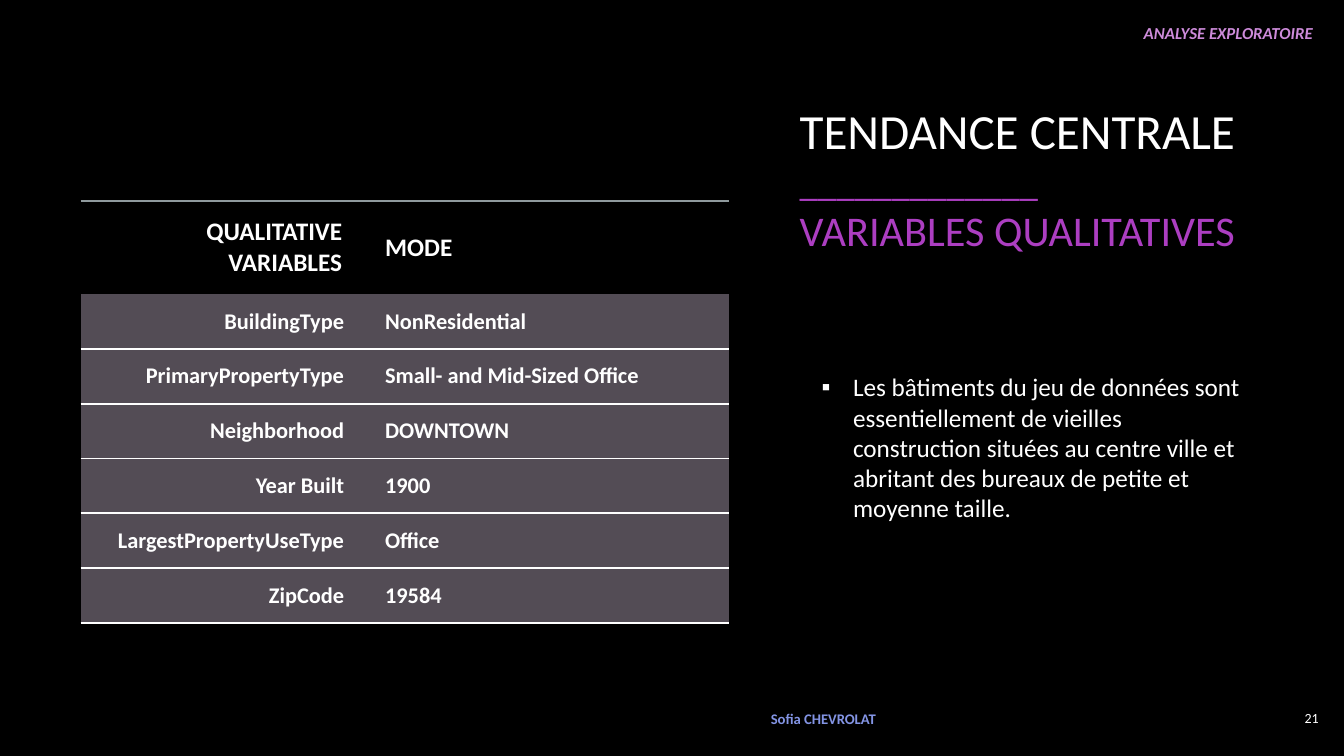
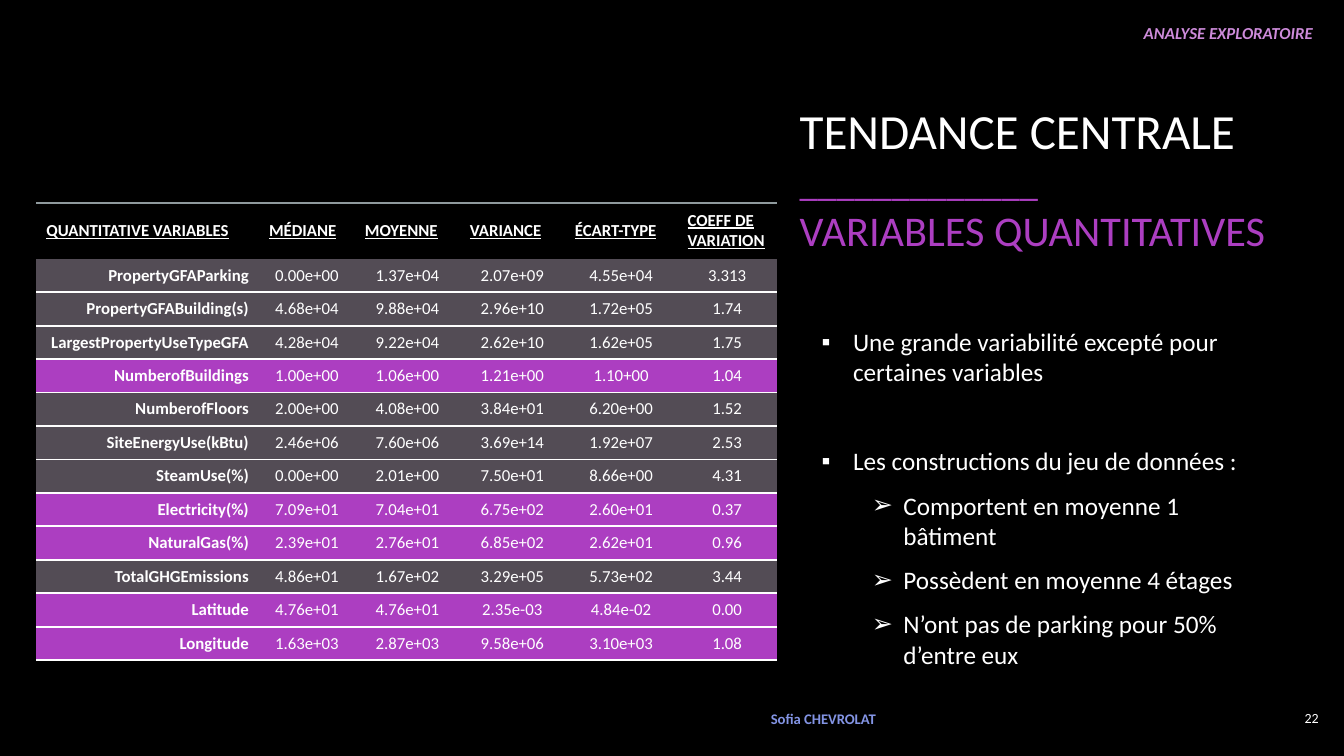
import pptx
import pptx.util
import pptx.dml.color
import pptx.enum.text
import pptx.oxml
import pptx.oxml.ns
from dataclasses import dataclass
from lxml import etree

Pt = pptx.util.Pt
ALIGN = pptx.enum.text.PP_ALIGN
MIDDLE = pptx.enum.text.MSO_ANCHOR.MIDDLE
qn = pptx.oxml.ns.qn


@dataclass(frozen=True)
class Theme:
    face: str = "Calibri"
    back: str = "000000"
    white: str = "FFFFFF"
    violet: str = "AC3EC1"
    lilac: str = "CD8BDA"
    blue: str = "8394E4"
    row: str = "534C55"
    rule: str = "8F9A9D"
    head: float = 35.1
    dash: float = 26.3
    sub: float = 30.2
    body: float = 18
    tag: float = 12
    foot: float = 10.5
    page: float = 10
    hang: float = 22.5
    gap: float = 10


T = Theme()
NO_GRID = "{2D5ABB26-0587-4C30-8999-92F81FD0307C}"
LIMIT = 1.1  # coefficients of variation below this are highlighted

# Content
TAG, AUTHOR, HEAD = "ANALYSE EXPLORATOIRE", "Sofia CHEVROLAT", "TENDANCE CENTRALE"

MODES = [
    ("QUALITATIVE VARIABLES", "MODE"),
    ("BuildingType", "NonResidential"),
    ("PrimaryPropertyType", "Small- and Mid-Sized Office"),
    ("Neighborhood", "DOWNTOWN"),
    ("Year Built", "1900"),
    ("LargestPropertyUseType", "Office"),
    ("ZipCode", "19584"),
]

STATS = [
    ("QUANTITATIVE VARIABLES", "MÉDIANE", "MOYENNE", "VARIANCE", "ÉCART-TYPE",
     "COEFF DE VARIATION"),
    ("PropertyGFAParking", "0.00e+00", "1.37e+04", "2.07e+09", "4.55e+04", "3.313"),
    ("PropertyGFABuilding(s)", "4.68e+04", "9.88e+04", "2.96e+10", "1.72e+05", "1.74"),
    ("LargestPropertyUseTypeGFA", "4.28e+04", "9.22e+04", "2.62e+10", "1.62e+05", "1.75"),
    ("NumberofBuildings", "1.00e+00", "1.06e+00", "1.21e+00", "1.10+00", "1.04"),
    ("NumberofFloors", "2.00e+00", "4.08e+00", "3.84e+01", "6.20e+00", "1.52"),
    ("SiteEnergyUse(kBtu)", "2.46e+06", "7.60e+06", "3.69e+14", "1.92e+07", "2.53"),
    ("SteamUse(%)", "0.00e+00", "2.01e+00", "7.50e+01", "8.66e+00", "4.31"),
    ("Electricity(%)", "7.09e+01", "7.04e+01", "6.75e+02", "2.60e+01", "0.37"),
    ("NaturalGas(%)", "2.39e+01", "2.76e+01", "6.85e+02", "2.62e+01", "0.96"),
    ("TotalGHGEmissions", "4.86e+01", "1.67e+02", "3.29e+05", "5.73e+02", "3.44"),
    ("Latitude", "4.76e+01", "4.76e+01", "2.35e-03", "4.84e-02", "0.00"),
    ("Longitude", "1.63e+03", "2.87e+03", "9.58e+06", "3.10e+03", "1.08"),
]

# Table looks: insets are (left, other sides), for head and body rows
WIDE = dict(at=(57.6, 143.5), cols=(198, 265), rows=(66.5, 39.2), sizes=(18, 16),
            insets=((19.5, 11.2), (19.5, 9.8)), line=False, bold=True,
            aligns=((ALIGN.RIGHT, ALIGN.LEFT), (ALIGN.RIGHT, ALIGN.LEFT)))
DENSE = dict(at=(26, 145), cols=(159, 68.5, 75, 75, 80.5, 71), rows=(39.8, 23.9),
             sizes=(12, 12), insets=None, line=True, bold=False,
             aligns=((ALIGN.LEFT, ALIGN.LEFT), (ALIGN.RIGHT, ALIGN.CENTER)))

# Points are (level, text, space before)
SLIDES = [
    dict(page="21", sub="VARIABLES QUALITATIVES", data=MODES, look=WIDE, marks=(),
         tall=213, points=[
             (0, "Les bâtiments du jeu de données sont essentiellement de vieilles "
                 "construction situées au centre ville et abritant des bureaux de "
                 "petite et moyenne taille.", 0)]),
    dict(page="22", sub="VARIABLES QUANTITATIVES", data=STATS, look=DENSE,
         marks=[r for r in STATS[1:] if float(r[-1]) < LIMIT],
         tall=285, points=[
             (0, "Une grande variabilité excepté pour certaines variables", 0),
             (0, "Les constructions du jeu de données :", 32),
             (1, "Comportent en moyenne 1 bâtiment", 0),
             (1, "Possèdent en moyenne 4 étages", 0),
             (1, "N’ont pas de parking pour 50% d’entre eux", 0)]),
]


# Helpers
def rgb(hue):
    return pptx.dml.color.RGBColor.from_string(hue)


def style(para, size, hue, align=ALIGN.LEFT, bold=False, slant=False, line=False):
    para.alignment = align
    font = para.font
    font.name, font.size, font.color.rgb = T.face, Pt(size), rgb(hue)
    font.bold, font.italic, font.underline = bold, slant, line


def place(shape, x, y, w, h):
    shape.left, shape.top, shape.width, shape.height = map(Pt, (x, y, w, h))
    frame = shape.text_frame
    frame.word_wrap = True
    frame.auto_size = pptx.enum.text.MSO_AUTO_SIZE.NONE
    frame.vertical_anchor = MIDDLE
    return frame


def label(slide, text, box, *look, **more):
    frame = place(slide.shapes.add_textbox(0, 0, 0, 0), *box)
    frame.text = text
    style(frame.paragraphs[0], *look, **more)


def bullet(para, level):
    props = para._p.get_or_add_pPr()
    props.set("marL", str(Pt(T.hang + 36 * level)))
    props.set("indent", str(-Pt(T.hang)))
    tint = etree.SubElement(props, qn("a:buClr"))
    etree.SubElement(tint, qn("a:srgbClr"), val=T.white)
    etree.SubElement(props, qn("a:buChar"), char="▪➢"[level])


def edge(cell, side, hue):
    line = etree.Element(qn("a:" + side), w=str(Pt(1.5)))
    fill = etree.SubElement(line, qn("a:solidFill"))
    etree.SubElement(fill, qn("a:srgbClr"), val=hue)
    cell._tc.get_or_add_tcPr().insert(0, line)


# Parts of a slide
def title(slide, sub):
    frame = place(slide.shapes.title, 564, 52.5, 382, 149)
    lines = [(HEAD, T.head, T.white), ("_" * 13, T.dash, T.violet),
             (sub, T.sub, T.violet)]
    frame.text = "\n".join(text for text, *_ in lines)
    for para, (_, size, hue) in zip(frame.paragraphs, lines):
        style(para, size, hue)


def notes(slide, points, tall):
    frame = place(slide.placeholders[1], 579.6, 213, 322.5, tall)
    frame.text = "\n".join(text for _, text, _ in points)
    for para, (level, _, before) in zip(frame.paragraphs, points):
        para.level = level
        para.space_before, para.space_after = Pt(before), Pt(T.gap)
        bullet(para, level)
        style(para, T.body, T.white)


def grid(slide, data, look, marks):
    cols, (top, rest) = look["cols"], look["rows"]
    highs = [top] + [rest] * (len(data) - 1)
    box = map(Pt, (*look["at"], sum(cols), sum(highs)))
    table = slide.shapes.add_table(len(data), len(cols), *box).table
    table.first_row = table.horz_banding = False
    table._tbl.tblPr.find(qn("a:tableStyleId")).text = NO_GRID
    for col, wide in zip(table.columns, cols):
        col.width = Pt(wide)
    for r, (row, high, texts) in enumerate(zip(table.rows, highs, data)):
        row.height = Pt(high)
        part = min(r, 1)  # 0 for the head row, 1 for the body
        for c, (cell, text) in enumerate(zip(row.cells, texts)):
            cell.text = text
            cell.vertical_anchor = MIDDLE
            if look["insets"]:
                left, other = map(Pt, look["insets"][part])
                cell.margin_left = left
                cell.margin_top = cell.margin_right = cell.margin_bottom = other
            style(cell.text_frame.paragraphs[0], look["sizes"][part], T.white,
                  look["aligns"][part][min(c, 1)],
                  bold=look["bold"] or r == 0 or c == 0,
                  line=look["line"] and r == 0)
            if part:
                cell.fill.solid()
                cell.fill.fore_color.rgb = rgb(T.violet if texts in marks else T.row)
                edge(cell, "lnB", T.white)
            else:
                cell.fill.background()
                edge(cell, "lnT", T.rule)


def frame_text(slide, page):
    label(slide, TAG, (552, 12.5, 393, 21.5), T.tag, T.lilac, ALIGN.RIGHT,
          bold=True, slant=True)
    label(slide, page, (906, 498, 43, 30), T.page, T.white, ALIGN.RIGHT)
    label(slide, AUTHOR, (543.5, 498, 127, 30), T.foot, T.blue, bold=True)


def main():
    deck = pptx.Presentation()
    deck.slide_width, deck.slide_height = Pt(960), Pt(540)
    back = deck.slide_master.background.fill
    back.solid()
    back.fore_color.rgb = rgb(T.back)
    for item in SLIDES:
        slide = deck.slides.add_slide(deck.slide_layouts[1])
        frame_text(slide, item["page"])
        grid(slide, item["data"], item["look"], item["marks"])
        title(slide, item["sub"])
        notes(slide, item["points"], item["tall"])
    deck.save("out.pptx")


if __name__ == "__main__":
    main()
